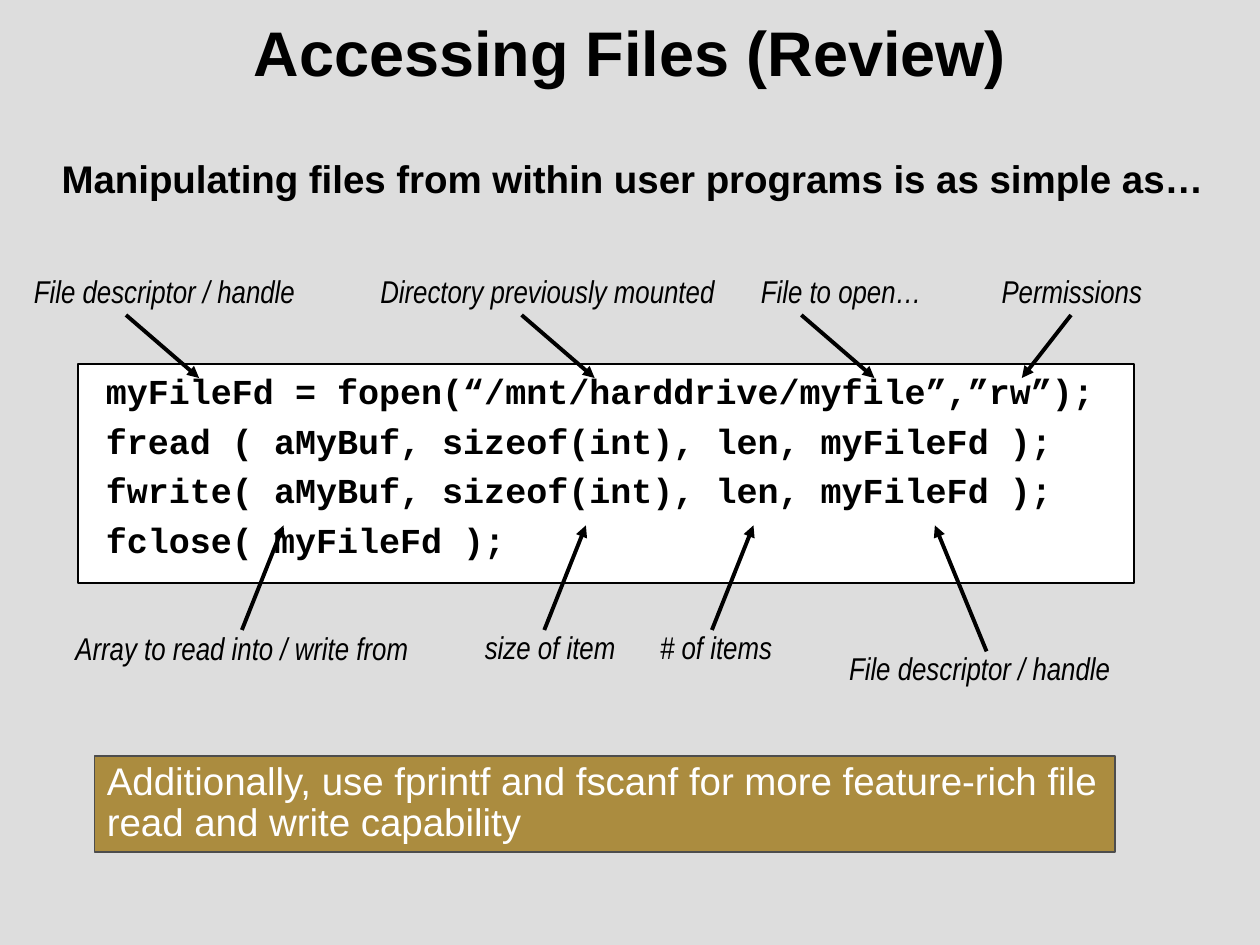
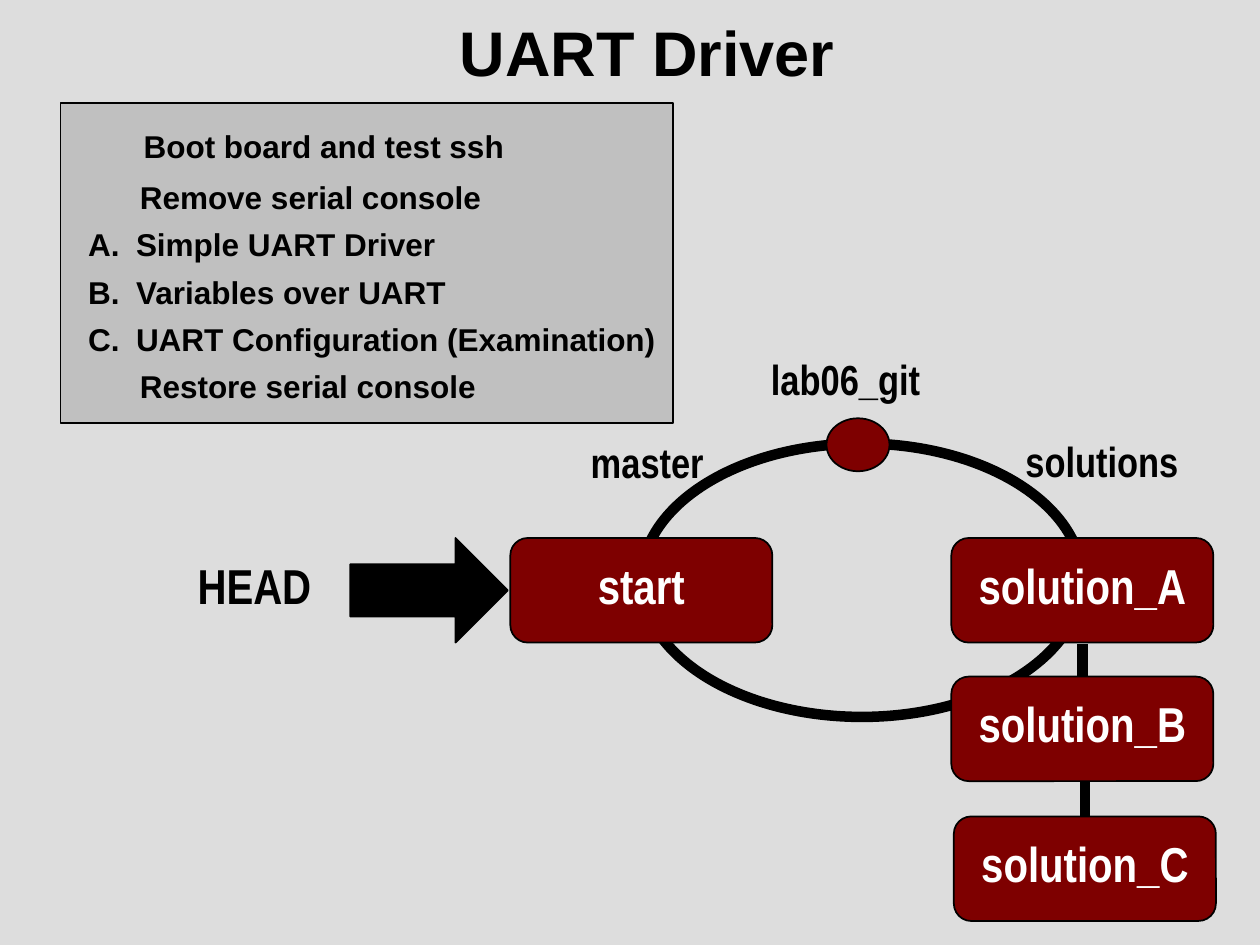
import dataclasses

import lxml.etree
import pptx
import pptx.dml.color
import pptx.enum.shapes
import pptx.enum.text
import pptx.oxml
import pptx.oxml.ns
import pptx.util

Inches = pptx.util.Inches
Pt = pptx.util.Pt
RGB = pptx.dml.color.RGBColor.from_string
SHAPE = pptx.enum.shapes.MSO_SHAPE
ALIGN = pptx.enum.text.PP_ALIGN
ANCHOR = pptx.enum.text.MSO_ANCHOR
qn = pptx.oxml.ns.qn


@dataclasses.dataclass(frozen=True)
class Theme:
    background: str = "DDDDDD"
    ink: str = "000000"
    paper: str = "FFFFFF"
    panel: str = "C0C0C0"
    note: str = "AB8C3F"
    note_edge: str = "4D4D4D"
    node: str = "7E0000"
    sans: str = "Arial"
    narrow: str = "Arial Narrow"
    mono: str = "Courier New"
    title: int = 36
    node_size: int = 28
    branch: int = 24
    lead: int = 22
    code: int = 20
    label: int = 18


T = Theme()


def write(s, text, box, kind=None, fill=None, line=None, weight=1, size=T.label,
          font=T.sans, color=T.ink, bold=False, italic=False, align=ALIGN.LEFT,
          anchor=ANCHOR.TOP, wrap=True, spacing=0.8, before=0, left=0.1, top=0.05):
    area = [Inches(v) for v in box]
    if kind is None:
        sp = s.shapes.add_textbox(*area)
    else:
        sp = s.shapes.add_shape(kind, *area)
        sp.shadow.inherit = False
        if fill:
            sp.fill.solid()
            sp.fill.fore_color.rgb = RGB(fill)
        else:
            sp.fill.background()
        sp.line.color.rgb = RGB(line or T.ink)
        sp.line.width = Pt(weight)
    tf = sp.text_frame
    tf.word_wrap = wrap
    tf.vertical_anchor = anchor
    tf.margin_left, tf.margin_top = Inches(left), Inches(top)
    if not text:
        return tf
    for i, words in enumerate(text.split("\n")):
        p = tf.paragraphs[0] if i == 0 else tf.add_paragraph()
        p.alignment = align
        p.line_spacing = spacing
        if i:
            p.space_before = Pt(before)
        r = p.add_run()
        r.text = words
        r.font.name = font
        r.font.size = Pt(size)
        r.font.bold = bold
        r.font.italic = italic
        r.font.color.rgb = RGB(color)
    return tf


def link(s, start, end, weight, arrow=False):
    cn = s.shapes.add_connector(pptx.enum.shapes.MSO_CONNECTOR.STRAIGHT,
                                *[Inches(v) for v in (*start, *end)])
    cn.line.color.rgb = RGB(T.ink)
    cn.line.width = Pt(weight)
    if arrow:
        lxml.etree.SubElement(cn.line._get_or_add_ln(), qn("a:tailEnd"), type="triangle")
    lxml.etree.SubElement(cn._element.spPr, qn("a:effectLst"))


prs = pptx.Presentation()
prs.slide_width, prs.slide_height = Inches(10), Inches(7.5)

slides = []
for title, x in [("Accessing Files (Review)", 0), ("UART Driver", 0.27)]:
    s = prs.slides.add_slide(prs.slide_layouts[6])
    s.background.fill.solid()
    s.background.fill.fore_color.rgb = RGB(T.background)
    write(s, title, (x, 0, 10 - x, 0.81), size=T.title, bold=True,
          align=ALIGN.CENTER, anchor=ANCHOR.MIDDLE, spacing=1.0)
    slides.append(s)
files, uart = slides

write(files, "Manipulating files from within user programs is as simple as…",
      (0.39, 1.25, 9.58, 0.45), size=T.lead, bold=True)

code = """myFileFd = fopen(“/mnt/harddrive/myfile”,”rw”);
fread ( aMyBuf, sizeof(int), len, myFileFd );
fwrite( aMyBuf, sizeof(int), len, myFileFd );
fclose( myFileFd );"""
write(files, code, (0.62, 2.89, 8.38, 1.74), kind=SHAPE.RECTANGLE, fill=T.paper,
      size=T.code, font=T.mono, bold=True, before=9, left=0.22, top=0.11)

write(files, "Additionally, use fprintf and fscanf for more feature-rich file "
      "read and write capability", (0.75, 6, 8.1, 0.76), kind=SHAPE.RECTANGLE,
      fill=T.note, line=T.note_edge, size=T.lead, color=T.paper, spacing=0.9)

callouts = [
    ("File descriptor / handle", 0.17, 2.17, 2.28, (1, 2.5), (1.58, 3)),
    ("Directory previously mounted", 2.92, 2.17, 2.86, (4.14, 2.5), (4.72, 3)),
    ("File to open…", 5.94, 2.17, 1.48, (6.36, 2.5), (6.94, 3)),
    ("Permissions", 7.85, 2.17, 1.32, (8.5, 2.5), (8.11, 3)),
    ("Array to read into / write from", 0.5, 5, 2.85, (1.92, 5), (2.25, 4.17)),
    ("size of item", 3.75, 4.99, 1.24, (4.32, 5), (4.65, 4.17)),
    ("# of items", 5.14, 4.99, 1.09, (5.65, 5), (5.98, 4.17)),
    ("File descriptor / handle", 6.64, 5.16, 2.28, (7.83, 5.17), (7.42, 4.17)),
]
for text, x, y, w, start, end in callouts:
    write(files, text, (x, y, w, 0.34), font=T.narrow, italic=True, wrap=False)
    link(files, start, end, 2.25, arrow=True)

write(uart, "", (5.09, 3.52, 3.5, 2.17), kind=SHAPE.OVAL, weight=6)

steps = """Boot board and test ssh
Remove serial console
Simple UART Driver
Variables over UART
UART Configuration (Examination)
Restore serial console"""
tf = write(uart, steps, (0.48, 0.82, 4.86, 2.54), kind=SHAPE.RECTANGLE,
           fill=T.panel, bold=True, before=9.75, left=0.22, top=0.25)
tf.paragraphs[1].space_before = Pt(11.5)
for p, indent in zip(tf.paragraphs, (0.44, 0.41, 0.38, 0.38, 0.38, 0.41)):
    pPr = p._p.get_or_add_pPr()
    pPr.set("marL", str(Inches(indent)))
    if indent == 0.38:
        pPr.set("indent", str(-Inches(indent)))
        lxml.etree.SubElement(pPr, qn("a:buFont"), typeface=T.sans)
        lxml.etree.SubElement(pPr, qn("a:buAutoNum"), type="alphaUcPeriod")

for x, top, bottom in [(8.59, 5.11, 5.37), (8.61, 6.07, 6.48)]:
    link(uart, (x, top), (x, bottom), 6)

for text, x, y in [("start", 4.05, 4.27), ("solution_A", 7.55, 4.27),
                   ("solution_B", 7.55, 5.37), ("solution_C", 7.57, 6.48)]:
    write(uart, text, (x, y, 2.08, 0.83), kind=SHAPE.ROUNDED_RECTANGLE, fill=T.node,
          size=T.node_size, font=T.narrow, color=T.paper, bold=True,
          align=ALIGN.CENTER, anchor=ANCHOR.MIDDLE)

write(uart, "", (6.56, 3.32, 0.5, 0.42), kind=SHAPE.OVAL, fill=T.node)
write(uart, "", (2.78, 4.27, 1.25, 0.83), kind=SHAPE.RIGHT_ARROW, fill=T.ink)

for text, box, size in [("lab06_git", (6.02, 2.83, 1.4, 0.42), T.branch),
                        ("solutions", (8.04, 3.44, 1.53, 0.5), T.branch),
                        ("master", (4.59, 3.45, 1.23, 0.5), T.branch),
                        ("HEAD", (1.47, 4.4, 1.32, 0.57), T.node_size)]:
    write(uart, text, box, size=size, font=T.narrow, bold=True,
          anchor=ANCHOR.MIDDLE, wrap=False)

prs.save("out.pptx")
